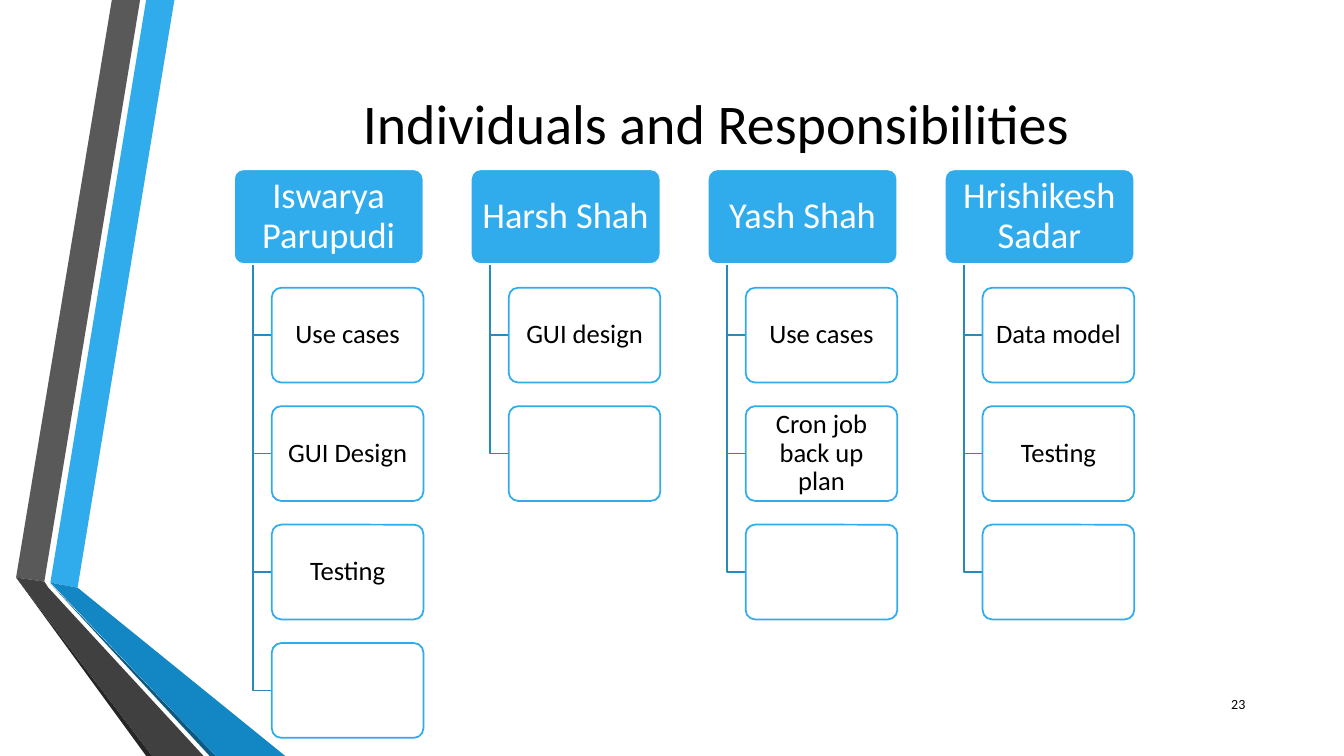
from pptx import Presentation
from pptx.dml.color import RGBColor
from pptx.enum.shapes import MSO_SHAPE
from pptx.enum.text import MSO_ANCHOR, PP_ALIGN
from pptx.oxml.ns import qn
from pptx.util import Inches, Pt
from lxml import etree

ROUNDED = MSO_SHAPE.ROUNDED_RECTANGLE
MIDDLE = MSO_ANCHOR.MIDDLE
CENTER, RIGHT = PP_ALIGN.CENTER, PP_ALIGN.RIGHT

BLUE, TRUNK_BLUE, WHITE, BLACK = "30ACEC", "268ABD", "FFFFFF", "000000"


def paint(fill, color, opacity=100):
    """Set a shape, line or font fill to a hex colour; opacity is in percent."""
    fill.solid()
    fill.fore_color.rgb = RGBColor.from_string(color)
    if opacity < 100:
        for clr in fill._xPr.iter(qn("a:srgbClr")):
            etree.SubElement(clr, qn("a:alpha")).set("val", str(opacity * 1000))


def write(sp, text, size, color=BLACK, align=CENTER, spacing=1.0, inset=0.1):
    tf = sp.text_frame
    tf.word_wrap = True
    tf.vertical_anchor = MIDDLE
    tf.margin_left = tf.margin_right = Inches(inset)
    tf.margin_top = tf.margin_bottom = Inches(0.05)
    p = tf.paragraphs[0]
    p.alignment = align
    p.line_spacing = spacing
    r = p.add_run()
    r.text = text
    r.font.name = "Calibri"
    r.font.size = Pt(size)
    paint(r.font.fill, color)


prs = Presentation()
prs.slide_width, prs.slide_height = Inches(13.33), Inches(7.5)
s = prs.slides.add_slide(prs.slide_layouts[6])

# Folded ribbons along the left edge
ribbons = [
    (BLUE, [(0.5, 5.78), (0.77, 5.83), (1.73, 0), (1.45, 0)]),
    ("595959", [(1.39, 0), (1.11, 0), (0.16, 5.73), (0.44, 5.77)]),
    ("262626", [(0.16, 5.73), (1.45, 7.5), (1.51, 7.5)]),
    ("0C5A82", [(0.5, 5.79), (2.08, 7.5), (2.14, 7.5)]),
    ("1287C3", [(0.5, 5.78), (2.14, 7.5), (2.83, 7.5), (0.77, 5.83)]),
    ("404040", [(2.02, 7.5), (0.48, 5.83), (0.44, 5.77), (0.16, 5.73), (1.51, 7.5)]),
]
for color, points in ribbons:
    corners = [(Inches(x), Inches(y)) for x, y in points]
    ribbon = s.shapes.build_freeform(*corners[0])
    ribbon.add_line_segments(corners[1:], close=True)
    sp = ribbon.convert_to_shape()
    sp.shadow.inherit = False
    paint(sp.fill, color)
    sp.line.fill.background()

title = s.shapes.add_textbox(Inches(1.62), Inches(0.75), Inches(10.96), Inches(0.92))
write(title, "Individuals and Responsibilities", 40)

# One column per person: a header and the cards that hang from its trunk
people = [
    ("Iswarya Parupudi", ["Use cases", "GUI Design", "Testing", ""]),
    ("Harsh Shah", ["GUI design", ""]),
    ("Yash Shah", ["Use cases", "Cron job back up plan", ""]),
    ("Hrishikesh Sadar", ["Data model", "Testing", ""]),
]
LEFT, TOP = Inches(2.32), Inches(1.68)
HEADER_W, BOX_H = Inches(1.88), Inches(0.94)
COLUMN_PITCH, ROW_PITCH = int(HEADER_W * 1.25), int(BOX_H * 1.25)
INDENT = int(HEADER_W * 0.1)
CARD_W = int(HEADER_W * 0.8)

for column, (person, tasks) in enumerate(people):
    x = LEFT + column * COLUMN_PITCH
    trunk_x, card_x = x + INDENT, x + 2 * INDENT
    boxes = [(x, TOP, HEADER_W, person, 26, WHITE, BLUE, WHITE, 100)]
    for row, task in enumerate(tasks, 1):
        y = TOP + row * ROW_PITCH
        boxes.append((card_x, y, CARD_W, task, 19, BLACK, WHITE, BLUE, 90))

        card_mid = y + BOX_H // 2
        elbow = s.shapes.build_freeform(trunk_x, TOP + BOX_H)
        elbow.add_line_segments([(trunk_x, card_mid), (card_x, card_mid)], close=False)
        sp = elbow.convert_to_shape()
        sp.shadow.inherit = False
        sp.fill.background()
        paint(sp.line.fill, TRUNK_BLUE)
        sp.line.width = Pt(1.25)

    for left, top, width, text, size, text_color, fill, outline, opacity in boxes:
        sp = s.shapes.add_shape(ROUNDED, left, top, width, BOX_H)
        sp.adjustments[0] = 0.1
        sp.shadow.inherit = False
        paint(sp.fill, fill, opacity)
        paint(sp.line.fill, outline)
        sp.line.width = Pt(1.25)
        if text:
            write(sp, text, size, text_color, spacing=0.9, inset=0.06)

number = s.shapes.add_textbox(Inches(11.85), Inches(6.78), Inches(0.6), Inches(0.4))
write(number, "23", 10, align=RIGHT)

prs.save("out.pptx")
